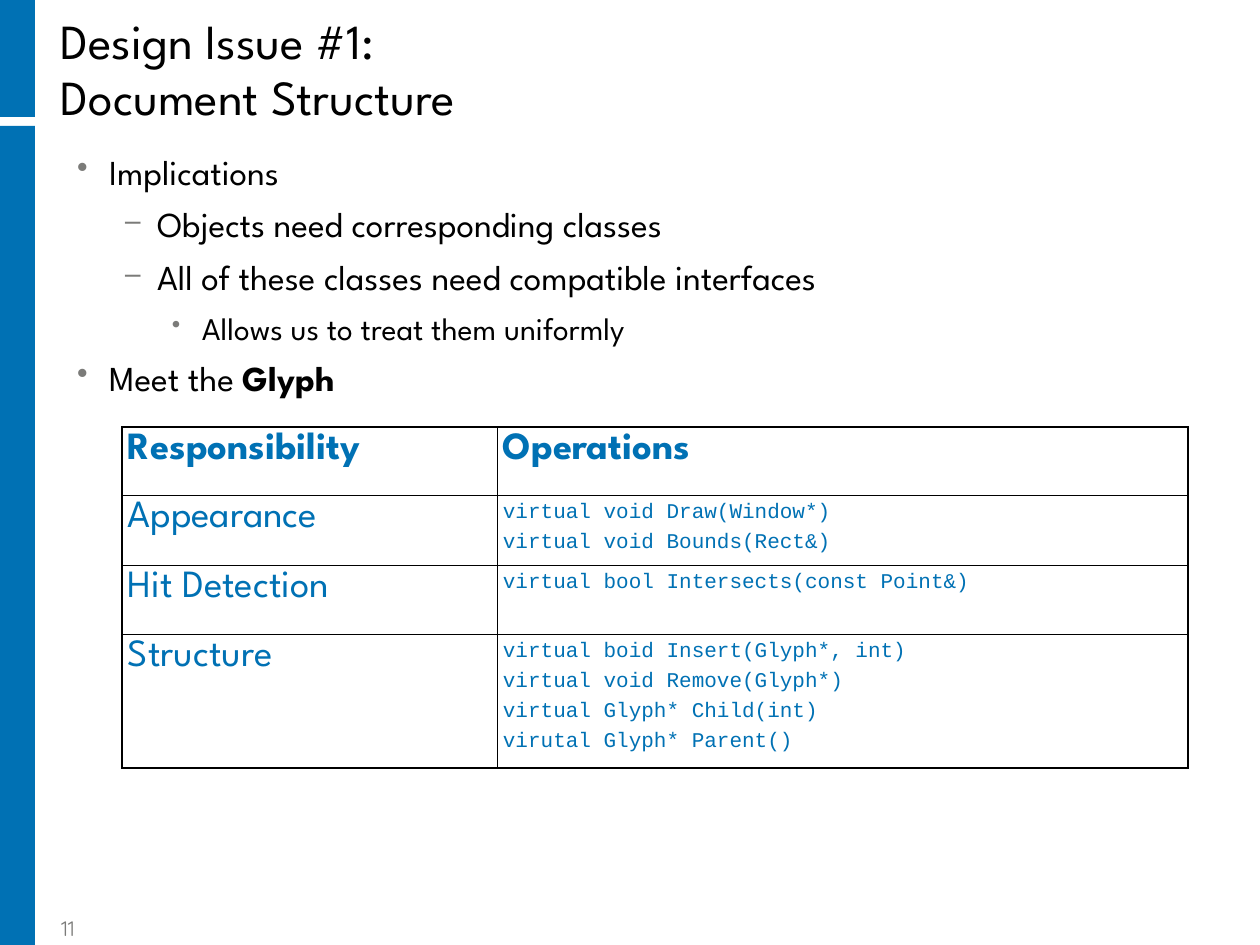
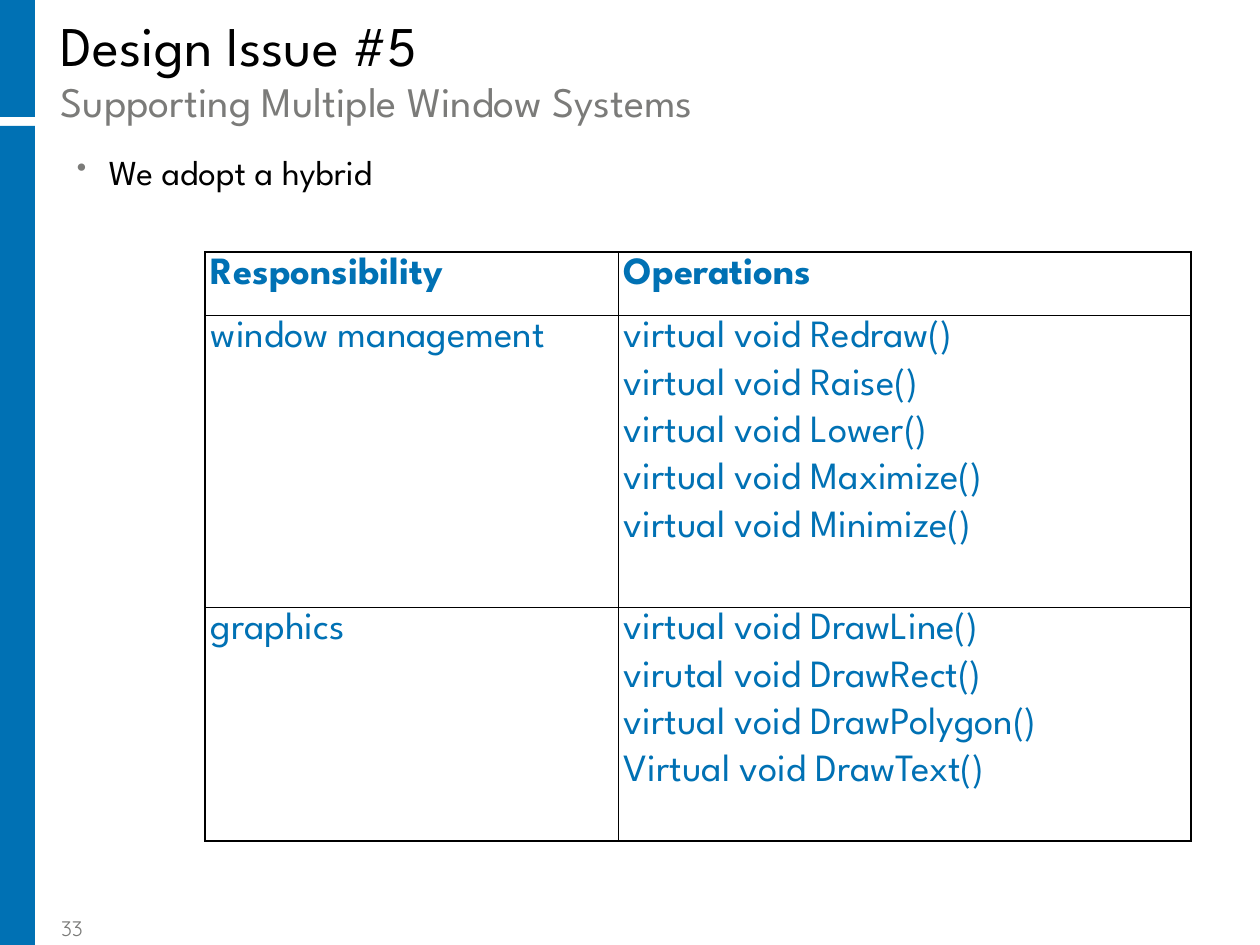
from dataclasses import dataclass

from lxml import etree
from pptx import Presentation
from pptx.dml.color import RGBColor
from pptx.enum.shapes import MSO_SHAPE as Shape
from pptx.enum.text import MSO_ANCHOR as Anchor
from pptx.oxml.ns import qn
from pptx.util import Emu, Pt


@dataclass(frozen=True)
class Theme:
    blue: str = "0071B4"
    grey: str = "7B7B79"
    black: str = "000000"
    sans: str = "League Spartan"
    number_font: str = "Quicksand"
    code_font: str = "Courier New"
    title: int = 28
    big_title: int = 32
    subtitle: int = 24
    body: int = 20
    detail: int = 18
    table: int = 22
    small: int = 12
    outer_line: float = 1.08
    inner_line: float = 0.45


T = Theme()
PX_PER_INCH = 126
WIDTH, HEIGHT = 1260, 945
BAND_BOXES = [(0, 126, 35, 819), (0, 0, 35, 117)]
TITLE_BOX = (55, 0, 1183, 127)
NUMBER_BOX = (55, 915, 105, 30)

# Bullet levels: left margin, hanging indent (px), space after (pt), sign, text size
LEVELS = {
    1: (48, 32, 6.2, "•", T.body),
    2: (96, 32, 6.2, "–", T.body),
    3: (141, 30, 5.6, "•", T.detail),
}


def px(n):
    return Emu(round(n * 914400 / PX_PER_INCH))


def write(p, text, size=T.body, font=T.sans, color=T.black, bold=False):
    r = p.add_run()
    r.text = text
    r.font.size, r.font.name, r.font.bold = Pt(size), font, bold
    r.font.color.rgb = RGBColor.from_string(color)


def paragraphs(tf, count):
    """Return the first paragraph and as many new ones as needed."""
    return [tf.paragraphs[0]] + [tf.add_paragraph() for _ in range(count - 1)]


def text_frame(s, box, insets, anchor=Anchor.TOP):
    tf = s.shapes.add_textbox(*map(px, box)).text_frame
    tf.word_wrap = True
    tf.vertical_anchor = anchor
    tf.margin_left, tf.margin_top, tf.margin_right, tf.margin_bottom = map(px, insets)
    return tf


# Shared parts: side bands, title, page number
def add_bands(s):
    for box in BAND_BOXES:
        sp = s.shapes.add_shape(Shape.RECTANGLE, *map(px, box))
        sp.shadow.inherit = False
        sp.fill.solid()
        sp.fill.fore_color.rgb = RGBColor.from_string(T.blue)
        sp.line.fill.background()


def add_title(s, box, lines):
    p = text_frame(s, box, (6, 6, 0, 0), Anchor.BOTTOM).paragraphs[0]
    p.line_spacing = 0.95
    for i, (text, size, color) in enumerate(lines):
        if i:
            p.add_line_break()
        write(p, text, size=size, color=color)


def add_number(s, box, number):
    tf = text_frame(s, box, (6, 6, 6, 4), Anchor.BOTTOM)
    write(tf.paragraphs[0], str(number), size=T.small, font=T.number_font, color=T.grey)


# Bulleted body
def set_bullet(p, margin, hang, sign, percent):
    pPr = p._p.get_or_add_pPr()
    pPr.set("marL", str(px(margin)))
    pPr.set("indent", str(-px(hang)))
    color = etree.SubElement(pPr, qn("a:buClr"))
    etree.SubElement(color, qn("a:srgbClr"), val=T.grey)
    etree.SubElement(pPr, qn("a:buSzPct"), val=str(percent * 1000))
    etree.SubElement(pPr, qn("a:buChar"), char=sign)


def add_bullets(s, box, items, top_percent):
    tf = text_frame(s, box, (6, 13, 6, 13))
    for p, (level, text, strong) in zip(paragraphs(tf, len(items)), items):
        margin, hang, after, sign, size = LEVELS[level]
        p.space_after = Pt(after)
        set_bullet(p, margin, hang, sign, top_percent if level == 1 else 80)
        write(p, text, size=size)
        if strong:
            write(p, strong, size=size, bold=True)


# Table of responsibilities and operations
def set_borders(cell, outer_sides):
    tcPr = cell._tc.get_or_add_tcPr()
    for i, side in enumerate("LRTB"):
        width = T.outer_line if side in outer_sides else T.inner_line
        ln = etree.Element(qn(f"a:ln{side}"), w=str(Pt(width)))
        fill = etree.SubElement(ln, qn("a:solidFill"))
        etree.SubElement(fill, qn("a:srgbClr"), val=T.black)
        tcPr.insert(i, ln)


def fill_cell(cell, lines, after=6.9, **fmt):
    cell.fill.background()
    cell.margin_left = cell.margin_right = cell.margin_top = cell.margin_bottom = px(6)
    for p, line in zip(paragraphs(cell.text_frame, len(lines)), lines):
        p.space_after = Pt(after)
        write(p, line, color=T.blue, **fmt)


def add_operations(s, left, top, widths, heights, duties, code_format):
    rows = [("Responsibility", ["Operations"]), *duties]
    table = s.shapes.add_table(len(rows), 2, px(left), px(top),
                               px(sum(widths)), px(sum(heights))).table
    table.first_row = table.horz_banding = False
    for column, width in zip(table.columns, widths):
        column.width = px(width)
    label_format = dict(size=T.table)
    for i, (duty, operations) in enumerate(rows):
        table.rows[i].height = px(heights[i])
        header = i == 0
        fill_cell(table.cell(i, 0), [duty], bold=header, **label_format)
        fill_cell(table.cell(i, 1), operations, bold=header,
                  **(label_format if header else code_format))
        edges = ("T" if header else "") + ("B" if i == len(rows) - 1 else "")
        set_borders(table.cell(i, 0), "L" + edges)
        set_borders(table.cell(i, 1), "R" + edges)


def add_slide(prs, number, title):
    s = prs.slides.add_slide(prs.slide_layouts[6])
    add_bands(s)
    add_title(s, TITLE_BOX, title)
    add_number(s, NUMBER_BOX, number)
    return s


def document_structure(prs):
    s = add_slide(prs, 11, [("Design Issue #1:", T.title, T.black),
                            ("Document Structure", T.title, T.black)])
    add_bullets(s, (55, 137, 1176, 294), [
        (1, "Implications", None),
        (2, "Objects need corresponding classes", None),
        (2, "All of these classes need compatible interfaces", None),
        (3, "Allows us to treat them uniformly", None),
        (1, "Meet the ", "Glyph"),
    ], top_percent=90)
    add_operations(s, 122, 427, (375, 691), (68, 70, 69, 134), [
        ("Appearance", ["virtual void Draw(Window*)", "virtual void Bounds(Rect&)"]),
        ("Hit Detection", ["virtual bool Intersects(const Point&)"]),
        ("Structure", ["virtual boid Insert(Glyph*, int)", "virtual void Remove(Glyph*)",
                       "virtual Glyph* Child(int)", "virutal Glyph* Parent()"]),
    ], dict(size=T.small, font=T.code_font, after=3.7))


def window_systems(prs):
    s = add_slide(prs, 33, [("Design Issue #5", T.big_title, T.black),
                            ("Supporting Multiple Window Systems", T.subtitle, T.grey)])
    add_bullets(s, (55, 137, 581, 84), [(1, "We adopt a hybrid", None)], top_percent=80)
    add_operations(s, 205, 252, (413, 573), (63, 292, 234), [
        ("window management", ["virtual void Redraw()", "virtual void Raise()",
                               "virtual void Lower()", "virtual void Maximize()",
                               "virtual void Minimize()"]),
        ("graphics", ["virtual void DrawLine()", "virutal void DrawRect()",
                      "virtual void DrawPolygon()", "Virtual void DrawText()"]),
    ], dict(size=T.table))


def main():
    prs = Presentation()
    prs.slide_width, prs.slide_height = px(WIDTH), px(HEIGHT)
    document_structure(prs)
    window_systems(prs)
    prs.save("out.pptx")


if __name__ == "__main__":
    main()
